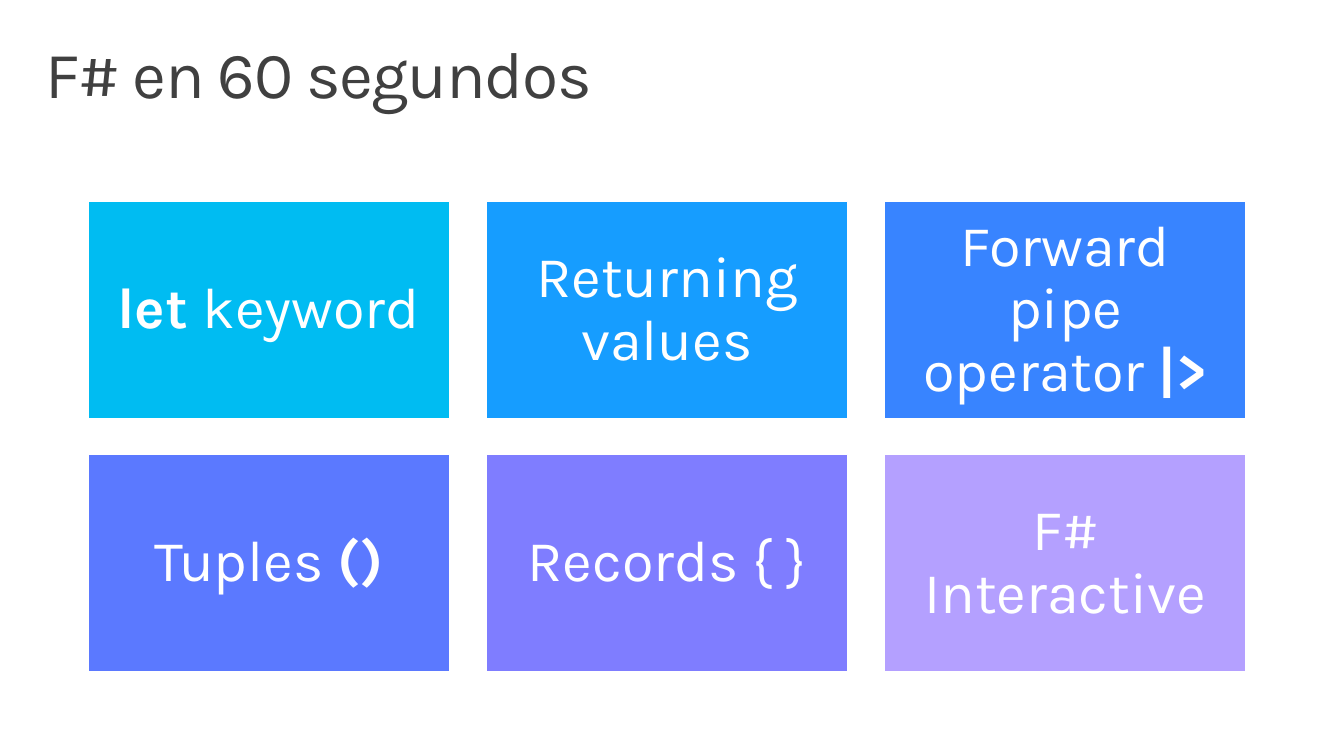
import pptx
import pptx.dml.color
import pptx.enum.shapes
import pptx.enum.text
import pptx.util
from pptx.util import Inches

TITLE = "F# en 60 segundos"
# Each tile: fill colour, then (text, bold) runs
TILES = [
    ("00BCF2", [("let ", True), ("keyword", False)]),
    ("169DFF", [("Returning values", False)]),
    ("3884FF", [("Forward pipe operator ", False), ("|>", True)]),
    ("5B79FF", [("Tuples ", False), ("()", True)]),
    ("7F7DFF", [("Records { }", False)]),
    ("B4A0FF", [("F# Interactive", False)]),
]
COLUMNS = 3
LEFT, TOP = 0.89, 2.04
TILE_W, TILE_H = 3.66, 2.2
STEP_X, STEP_Y = 4.03, 2.56


def rgb(value):
    return pptx.dml.color.RGBColor.from_string(value)


def set_margins(tf, horizontal, vertical):
    tf.word_wrap = True
    tf.margin_left = tf.margin_right = Inches(horizontal)
    tf.margin_top = tf.margin_bottom = Inches(vertical)


def style(p, size, color):
    p.line_spacing = 0.9
    p.font.name = "Karla"
    p.font.size = pptx.util.Pt(size)
    p.font.color.rgb = rgb(color)


def add_title(s):
    tf = s.shapes.add_textbox(Inches(0.3), Inches(0.32), Inches(13), Inches(1)).text_frame
    set_margins(tf, 0.16, 0.1)
    p = tf.paragraphs[0]
    r = p.add_run()
    r.text = TITLE
    style(p, 48, "404040")
    r.font._element.set("spc", "-100")  # letter spacing, hundredths of a point


def add_tile(s, index, fill, runs):
    row, col = divmod(index, COLUMNS)
    sp = s.shapes.add_shape(
        pptx.enum.shapes.MSO_SHAPE.RECTANGLE,
        Inches(LEFT + col * STEP_X), Inches(TOP + row * STEP_Y),
        Inches(TILE_W), Inches(TILE_H))
    sp.shadow.inherit = False
    sp.fill.solid()
    sp.fill.fore_color.rgb = rgb(fill)
    sp.line.color.rgb = rgb("FFFFFF")
    sp.line.width = pptx.util.Pt(0.85)
    tf = sp.text_frame
    set_margins(tf, 0.17, 0.17)
    tf.vertical_anchor = pptx.enum.text.MSO_ANCHOR.MIDDLE
    p = tf.paragraphs[0]
    p.alignment = pptx.enum.text.PP_ALIGN.CENTER
    style(p, 42, "FFFFFF")
    for text, bold in runs:
        r = p.add_run()
        r.text = text
        r.font.bold = bold


def main():
    prs = pptx.Presentation()
    prs.slide_width, prs.slide_height = Inches(13.6), Inches(7.65)
    s = prs.slides.add_slide(prs.slide_layouts[6])
    add_title(s)
    for index, (fill, runs) in enumerate(TILES):
        add_tile(s, index, fill, runs)
    prs.save("out.pptx")


if __name__ == "__main__":
    main()
